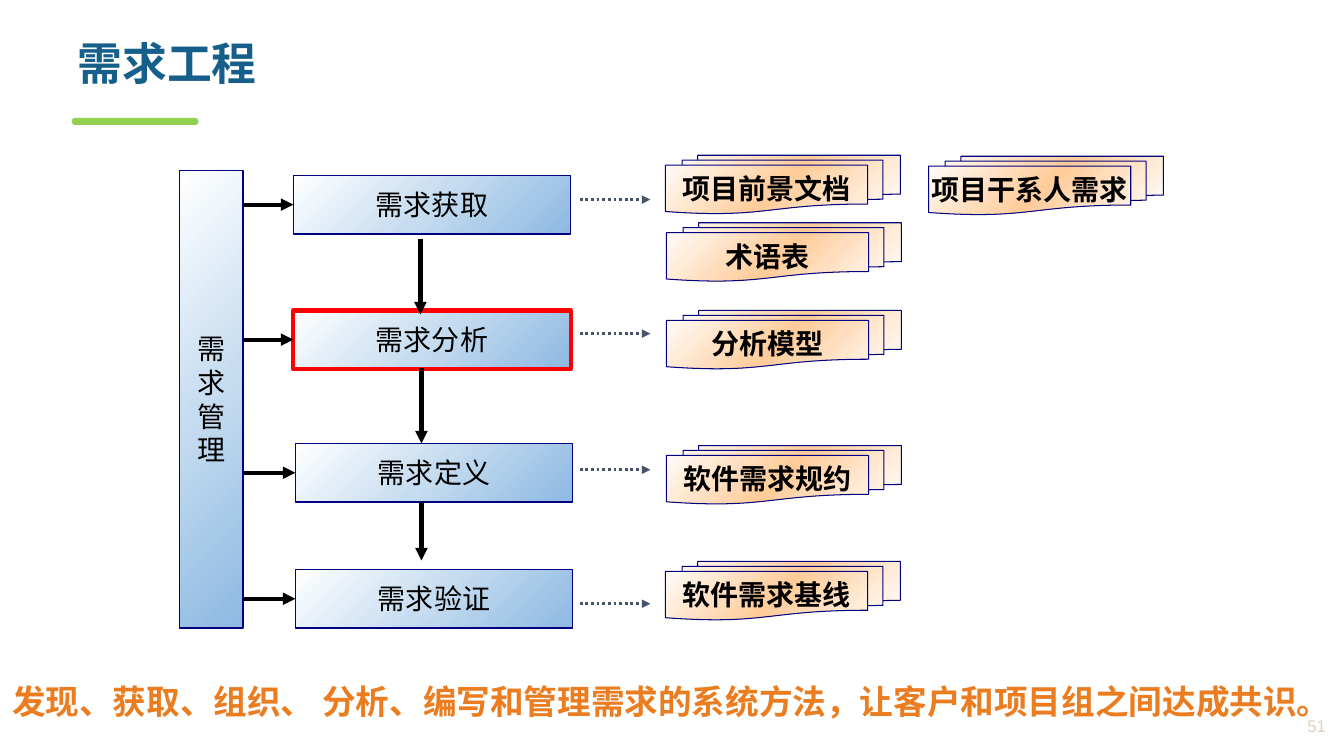
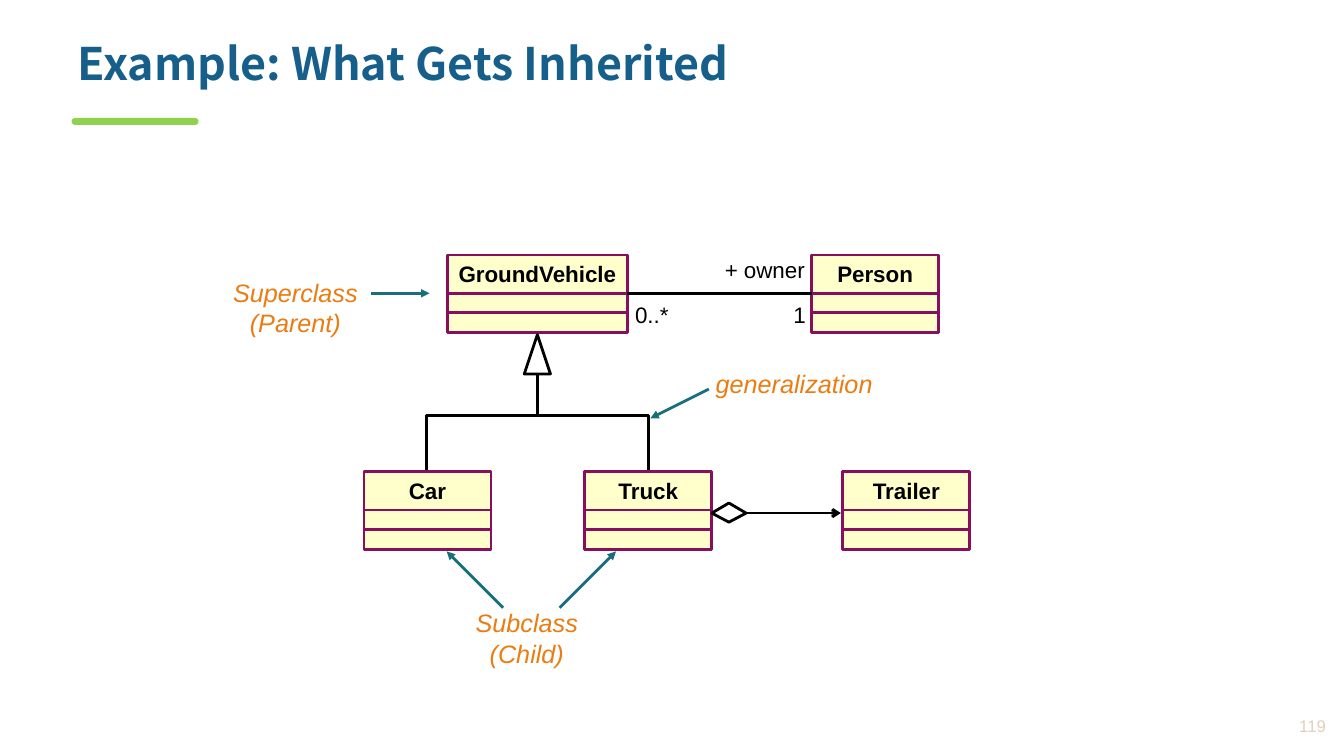
from copy import deepcopy

from lxml import etree
from pptx import Presentation
from pptx.dml.color import RGBColor
from pptx.enum.dml import MSO_LINE
from pptx.enum.shapes import MSO_CONNECTOR, MSO_SHAPE
from pptx.enum.text import MSO_ANCHOR, PP_ALIGN
from pptx.oxml.ns import qn
from pptx.util import Inches, Pt

RECTANGLE = MSO_SHAPE.RECTANGLE
DOCUMENTS = MSO_SHAPE.FLOWCHART_MULTIDOCUMENT
ACCENT_BAR = MSO_SHAPE.ROUND_2_SAME_RECTANGLE
STRAIGHT = MSO_CONNECTOR.STRAIGHT
DOTTED = MSO_LINE.ROUND_DOT
LEFT, CENTER, RIGHT = PP_ALIGN.LEFT, PP_ALIGN.CENTER, PP_ALIGN.RIGHT
TOP, MIDDLE = MSO_ANCHOR.TOP, MSO_ANCHOR.MIDDLE
SIDE_LEFT, SIDE_RIGHT = 1, 3

COLORS = {
    "title": "175F8B", "accent": "92D050", "page": "E0CFBD",
    "black": "000000", "navy": "000080", "red": "FF0000",
    "slogan": "EB7C1F", "note": "EB7C11", "teal": "196E7D",
    "slate": "44546A", "class fill": "FFFFCC", "class line": "8A0E5E",
}
BLUE_GRADIENT = ("FFFFFF", "C6DCF0", "8DB9E2")
ORANGE_GRADIENT = ("FFFFFF", "FFCC99", "FFFFFF")
CHINESE, LATIN = "Noto Sans CJK SC", "Arial"
INSETS = (0.1, 0.05)
WIDE_INSETS = (0.12, 0.06)


def rgb(name):
    return RGBColor.from_string(COLORS[name])


class Deck:
    """Holds the shared style and the slide being drawn."""

    def __init__(self):
        self.presentation = Presentation()
        self.presentation.slide_width = Inches(13.33)
        self.presentation.slide_height = Inches(7.5)
        self.slide = None

    def new_slide(self, title, page):
        layout = self.presentation.slide_layouts[6]
        self.slide = self.presentation.slides.add_slide(layout)
        bar = self.shape(ACCENT_BAR, (0.71, 1.17, 1.26, 0.07), fill="accent")
        bar.adjustments[0] = bar.adjustments[1] = 0.5
        heading = self.text((0.67, 0.41, 12.19, 0.75), title, 32, CHINESE,
                            "title", bold=True, insets=(0.1, 0))
        heading.text_frame.paragraphs[0].line_spacing = 0.9
        self.text((12.12, 7.01, 1.13, 0.38), page, 12, LATIN, "page",
                  align=RIGHT, anchor=MIDDLE)

    def fill_text(self, shape, text, size, font, color, bold=False,
                  italic=False, align=LEFT, anchor=TOP, insets=INSETS,
                  wrap=True):
        frame = shape.text_frame
        frame.word_wrap = wrap
        frame.vertical_anchor = anchor
        frame.margin_left = frame.margin_right = Inches(insets[0])
        frame.margin_top = frame.margin_bottom = Inches(insets[1])
        for index, line in enumerate(text.split("\n")):
            paragraph = frame.add_paragraph() if index else frame.paragraphs[0]
            paragraph.alignment = align
            run = paragraph.add_run()
            run.text = line
            run.font.size = Pt(size)
            run.font.name = font
            run.font.bold = bold
            run.font.italic = italic
            run.font.color.rgb = rgb(color)
            east_asian = etree.SubElement(run.font._element, qn("a:ea"))
            east_asian.set("typeface", font)

    def text(self, box, *args, **style):
        shape = self.slide.shapes.add_textbox(*map(Inches, box))
        self.fill_text(shape, *args, **style)
        return shape

    def finish(self, shape, fill, line, width):
        shape.shadow.inherit = False
        if fill is None:
            shape.fill.background()
        elif isinstance(fill, tuple):
            self.gradient(shape, fill)
        else:
            shape.fill.solid()
            shape.fill.fore_color.rgb = rgb(fill)
        if line is None:
            shape.line.fill.background()
        else:
            shape.line.color.rgb = rgb(line)
            shape.line.width = Pt(width)

    def gradient(self, shape, stops):
        shape.fill.gradient()
        shape.fill.gradient_angle = 315
        stop_list = shape._element.spPr.find(".//" + qn("a:gsLst"))
        stop_list.insert(1, deepcopy(stop_list[0]))
        for index, stop in enumerate(shape.fill.gradient_stops):
            stop.position = index / 2
            stop.color.rgb = RGBColor.from_string(stops[index])

    def shape(self, kind, box, fill=None, line=None, width=1):
        shape = self.slide.shapes.add_shape(kind, *map(Inches, box))
        self.finish(shape, fill, line, width)
        return shape

    def outline(self, points, close=False):
        points = [(Inches(x), Inches(y)) for x, y in points]
        builder = self.slide.shapes.build_freeform(*points[0])
        builder.add_line_segments(points[1:], close=close)
        self.finish(builder.convert_to_shape(), None, "black", 2)

    def line(self, start, end, color="black", width=2, head=None, dash=None):
        connector = self.slide.shapes.add_connector(
            STRAIGHT, *map(Inches, (*start, *end)))
        connector.line.color.rgb = rgb(color)
        connector.line.width = Pt(width)
        if dash:
            connector.line.dash_style = dash
        properties = connector._element.spPr
        if head:
            outline = properties.find(qn("a:ln"))
            etree.SubElement(outline, qn("a:tailEnd")).set("type", head)
        etree.SubElement(properties, qn("a:effectLst"))
        return connector

    def process(self, box, text, line="navy", width=1):
        shape = self.shape(RECTANGLE, box, BLUE_GRADIENT, line, width)
        self.fill_text(shape, text, 20, CHINESE, "black", align=CENTER,
                       anchor=MIDDLE, insets=WIDE_INSETS, wrap=False)
        return shape

    def documents(self, left, top, text):
        shape = self.shape(DOCUMENTS, (left, top, 2.33, 0.58),
                           ORANGE_GRADIENT, "navy", 0.75)
        self.fill_text(shape, text, 20, CHINESE, "black", bold=True,
                       align=CENTER, anchor=MIDDLE, insets=WIDE_INSETS,
                       wrap=False)

    def uml_class(self, left, top, name, width=1.26):
        shape = self.shape(RECTANGLE, (left, top, width, 0.77),
                           "class fill", "class line", 2)
        self.fill_text(shape, name, 16, LATIN, "black", bold=True,
                       align=CENTER, wrap=False)
        for offset in (0.38, 0.57):
            y = top + offset
            self.line((left, y), (left + width, y), "class line")
        return shape

    def note(self, box, text, align=CENTER):
        self.text(box, text, 18, LATIN, "note", italic=True, align=align)

    def label(self, box, text):
        self.text(box, text, 16, LATIN, "black", wrap=False)


def requirements_slide(deck):
    deck.new_slide("需求工程", "51")
    deck.text((0, 6.7, 13.33, 0.52),
              "发现、获取、组织、 分析、编写和管理需求的系统方法，让客户和项目组之间达成共识。",
              24, CHINESE, "slogan", bold=True, insets=WIDE_INSETS)

    # Documents produced by each stage
    for left, top, name in [
        (6.6, 1.54, "项目前景文档"), (9.21, 1.55, "项目干系人需求"),
        (6.61, 2.21, "术语表"), (6.61, 3.08, "分析模型"),
        (6.61, 4.42, "软件需求规约"), (6.6, 5.57, "软件需求基线"),
    ]:
        deck.documents(left, top, name)

    # Management bar, stages and their arrows
    deck.process((1.78, 1.69, 0.63, 4.54), "需\n求\n管\n理")
    stages = [
        (2.91, 1.74, "需求获取", "navy", 1, 1.98),
        (2.91, 3.08, "需求分析", "red", 3, 3.31),
        (2.93, 4.4, "需求定义", "navy", 1, 4.66),
        (2.93, 5.65, "需求验证", "navy", 1, 5.99),
    ]
    for left, top, name, color, width, output_y in stages:
        stage = deck.process((left, top, 2.75, 0.58), name, color, width)
        middle = top + 0.29
        arrow = deck.line((2.41, middle), (left, middle), width=3,
                          head="triangle")
        arrow.end_connect(stage, SIDE_LEFT)
        deck.line((5.75, output_y), (6.45, output_y), "slate",
                  head="triangle", dash=DOTTED)

    # Flow from stage to stage
    for x, top, bottom in [(4.17, 2.37, 3.12), (4.18, 3.65, 4.4),
                           (4.18, 4.98, 5.56)]:
        deck.line((x, top), (x, bottom), width=3, head="triangle")


def inheritance_slide(deck):
    deck.new_slide("Example: What Gets Inherited", "119")

    # Generalization tree
    deck.outline([(4.23, 4.79), (4.23, 4.12), (6.43, 4.12), (6.43, 4.79)])
    deck.line((5.33, 4.12), (5.33, 3.71))

    # Classes
    vehicle = deck.uml_class(4.44, 2.53, "GroundVehicle", 1.78)
    person = deck.uml_class(8.05, 2.53, "Person")
    for left, name in [(3.61, "Car"), (5.8, "Truck"), (8.36, "Trailer")]:
        deck.uml_class(left, 4.68, name)
    deck.outline([(5.33, 3.32), (5.46, 3.71), (5.2, 3.71)], close=True)

    # Association between vehicle and owner
    owner = deck.line((6.22, 2.91), (8.05, 2.91))
    owner.begin_connect(vehicle, SIDE_RIGHT)
    owner.end_connect(person, SIDE_LEFT)
    deck.label((7.09, 2.49, 1, 0.37), "+ owner")
    deck.label((6.2, 2.94, 0.54, 0.37), "0..*")
    deck.label((7.77, 2.94, 0.32, 0.37), "1")

    # Aggregation between truck and trailer
    deck.outline([(7.06, 5.09), (7.23, 5.18), (7.4, 5.09), (7.23, 4.99)],
                 close=True)
    deck.line((7.4, 5.09), (8.34, 5.09), head="arrow")

    # Notes and their pointers
    deck.note((2.2, 2.7, 1.46, 0.7), "Superclass (Parent)")
    deck.note((4.34, 5.98, 1.77, 0.7), "Subclass (Child)")
    deck.note((7, 3.6, 1.83, 0.4), "generalization", LEFT)
    for start, end in [
        ((3.68, 2.91), (4.26, 2.91)), ((7.03, 3.86), (6.45, 4.15)),
        ((4.99, 6.03), (4.43, 5.47)), ((5.55, 6.03), (6.11, 5.47)),
    ]:
        deck.line(start, end, "teal", head="triangle")


def main():
    deck = Deck()
    requirements_slide(deck)
    inheritance_slide(deck)
    deck.presentation.save("out.pptx")


if __name__ == "__main__":
    main()
